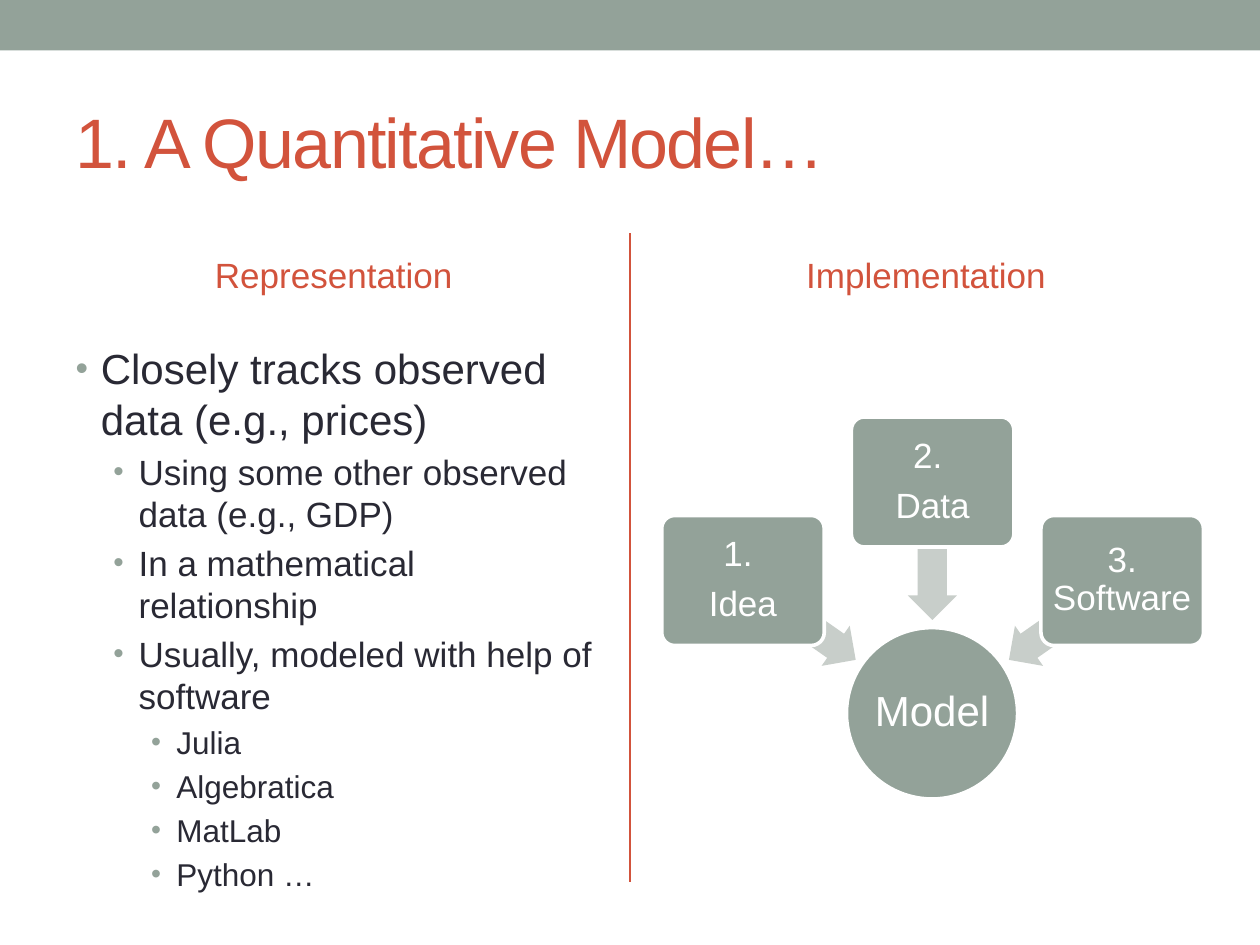
from dataclasses import dataclass

from lxml import etree
from pptx import Presentation
from pptx.dml.color import RGBColor
from pptx.enum.shapes import MSO_CONNECTOR, MSO_SHAPE
from pptx.enum.text import MSO_ANCHOR, MSO_AUTO_SIZE, PP_ALIGN
from pptx.oxml.ns import qn
from pptx.util import Inches, Pt

RECTANGLE, ROUNDED = MSO_SHAPE.RECTANGLE, MSO_SHAPE.ROUNDED_RECTANGLE
OVAL, LEFT_ARROW = MSO_SHAPE.OVAL, MSO_SHAPE.LEFT_ARROW
STRAIGHT = MSO_CONNECTOR.STRAIGHT
LEFT, CENTER = PP_ALIGN.LEFT, PP_ALIGN.CENTER
TOP, MIDDLE = MSO_ANCHOR.TOP, MSO_ANCHOR.MIDDLE
NO_AUTOFIT = MSO_AUTO_SIZE.NONE
COMPARISON_LAYOUT = 4


@dataclass(frozen=True)
class Theme:
    font: str = "Arial"
    sage: str = "93A299"
    pale: str = "C8CECA"
    red: str = "D2533C"
    dark: str = "292934"
    white: str = "FFFFFF"
    title: int = 40
    heading: int = 20
    levels: tuple = (24, 20, 18)
    node: int = 20
    hub: int = 24


THEME = Theme()


@dataclass(frozen=True)
class Box:
    left: float
    top: float
    width: float
    height: float

    def inner(self, left, top, width, height):
        """Box inside this one, given in percent of its width and height."""
        return Box(self.left + self.width * left / 100,
                   self.top + self.height * top / 100,
                   self.width * width / 100, self.height * height / 100)

    def lengths(self):
        return [Inches(value) for value in
                (self.left, self.top, self.width, self.height)]


PAGE = Box(0, 0, 10, 7.5)
ITEMS = [
    (0, "Closely tracks observed data (e.g., prices)"),
    (1, "Using some other observed data (e.g., GDP)"),
    (1, "In a mathematical relationship"),
    (1, "Usually, modeled with help of software"),
    (2, "Julia"),
    (2, "Algebratica"),
    (2, "MatLab"),
    (2, "Python …"),
]
# Lines, top in percent and arrow (top in percent, rotation) of each input
INPUTS = [
    (["1. ", "Idea"], 32.9, (47.7, 215)),
    (["2. ", "Data"], 14.8, (35, 270)),
    (["3. Software"], 32.9, (47.7, 325)),
]


def apply(target, formats):
    for name, value in formats.items():
        setattr(target, name, value)


def format_font(font, size, color):
    apply(font, {"name": THEME.font, "size": Pt(size), "bold": False})
    font.color.rgb = RGBColor.from_string(color)


def write(frame, lines, size, color, **formats):
    for index, line in enumerate(lines):
        paragraph = frame.paragraphs[0] if index == 0 else frame.add_paragraph()
        paragraph.text = line
        apply(paragraph, formats)
        format_font(paragraph.font, size, color)
        for run in paragraph.runs:
            format_font(run.font, size, color)


def place(placeholder, box, anchor):
    names = ("left", "top", "width", "height")
    apply(placeholder, dict(zip(names, box.lengths())))
    apply(placeholder.text_frame, {"vertical_anchor": anchor, "word_wrap": True,
                                   "auto_size": NO_AUTOFIT})
    return placeholder.text_frame


def add_filled(shapes, kind, box, fill, outline=None):
    shape = shapes.add_shape(kind, *box.lengths())
    shape.shadow.inherit = False
    shape.fill.solid()
    shape.fill.fore_color.rgb = RGBColor.from_string(fill)
    if outline:
        shape.line.color.rgb = RGBColor.from_string(outline)
        shape.line.width = Pt(2.08)
    else:
        shape.line.fill.background()
    return shape


def add_bullet(paragraph, level):
    properties = paragraph._p.get_or_add_pPr()
    properties.set("marL", str(Inches(0.2 + 0.3 * level)))
    properties.set("indent", str(Inches(-0.2)))
    color = etree.SubElement(properties, qn("a:buClr"))
    etree.SubElement(color, qn("a:srgbClr"), val=THEME.sage)
    percent = 90 if level == 2 else 85
    etree.SubElement(properties, qn("a:buSzPct"), val=str(percent * 1000))
    etree.SubElement(properties, qn("a:buFont"), typeface=THEME.font)
    etree.SubElement(properties, qn("a:buChar"), char="•")


def add_frame(slide, page):
    # Top band and divider between the columns
    add_filled(slide.shapes, RECTANGLE, page.inner(0, 0, 100, 5.33), THEME.sage)
    left, top, _, height = page.inner(50, 24.7, 0, 68.6).lengths()
    divider = slide.shapes.add_connector(STRAIGHT, left, top, left, top + height)
    divider.line.color.rgb = RGBColor.from_string(THEME.red)
    divider.line.width = Pt(1.5)
    etree.SubElement(divider._element.spPr, qn("a:effectLst"))


def fill_title(placeholder, box):
    frame = place(placeholder, box, MIDDLE)
    write(frame, ["1. A Quantitative Model…"], THEME.title, THEME.red,
          alignment=LEFT)
    frame.paragraphs[0].runs[0]._r.get_or_add_rPr().set("spc", "-100")


def fill_heading(placeholder, box, text):
    write(place(placeholder, box, MIDDLE), [text], THEME.heading, THEME.red,
          alignment=CENTER, space_before=Pt(0))


def fill_list(placeholder, box):
    frame = place(placeholder, box, TOP)
    for index, (level, text) in enumerate(ITEMS):
        paragraph = frame.paragraphs[0] if index == 0 else frame.add_paragraph()
        size = THEME.levels[level]
        paragraph.text = text
        add_bullet(paragraph, level)
        apply(paragraph, {"level": level, "alignment": LEFT,
                          "space_before": Pt(0.2 * size if index else 0)})
        format_font(paragraph.font, size, THEME.dark)
        format_font(paragraph.runs[0].font, size, THEME.dark)


def add_node(shapes, kind, box, lines, size, margin):
    node = add_filled(shapes, kind, box, THEME.sage, THEME.white)
    sides = ("margin_left", "margin_top", "margin_right", "margin_bottom")
    apply(node.text_frame, dict.fromkeys(sides, Inches(margin)))
    apply(node.text_frame, {"word_wrap": True, "vertical_anchor": MIDDLE})
    write(node.text_frame, lines, size, THEME.white, alignment=CENTER,
          line_spacing=0.9, space_after=Pt(0.35 * size))
    return node


def add_diagram(slide, box):
    shapes = slide.shapes.add_group_shape().shapes
    add_node(shapes, OVAL, box.inner(35.3, 53.5, 31.6, 31.5), ["Model"],
             THEME.hub, 0.02)
    # Each input box covers the tail of its arrow
    for column, (lines, top, (arrow_top, rotation)) in enumerate(INPUTS):
        arrow = add_filled(shapes, LEFT_ARROW,
                           box.inner(14 + 24.5 * column, arrow_top, 25.3, 9),
                           THEME.pale)
        arrow.rotation = rotation
        arrow.adjustments[0], arrow.adjustments[1] = 0.6, 0.5
        node = add_node(shapes, ROUNDED, box.inner(1.2 + 35 * column, top, 30, 23.9),
                        lines, THEME.node, 0.04)
        node.adjustments[0] = 0.1


def main():
    presentation = Presentation()
    presentation.slide_width = Inches(PAGE.width)
    presentation.slide_height = Inches(PAGE.height)
    slide = presentation.slides.add_slide(
        presentation.slide_layouts[COMPARISON_LAYOUT])
    title, left_heading, left_body, right_heading, right_body = slide.placeholders
    add_frame(slide, PAGE)
    fill_title(title, PAGE.inner(5, 7.7, 90, 14.4))
    fill_heading(left_heading, PAGE.inner(5, 24.4, 43, 9.3), "Representation")
    fill_heading(right_heading, PAGE.inner(52, 24.4, 43, 9.3), "Implementation")
    fill_list(left_body, PAGE.inner(5, 35.6, 43, 57.6))
    # The diagram takes the place of the right body
    right_body._element.getparent().remove(right_body._element)
    add_diagram(slide, PAGE.inner(52, 35.6, 43, 57.6))
    presentation.save("out.pptx")


if __name__ == "__main__":
    main()
